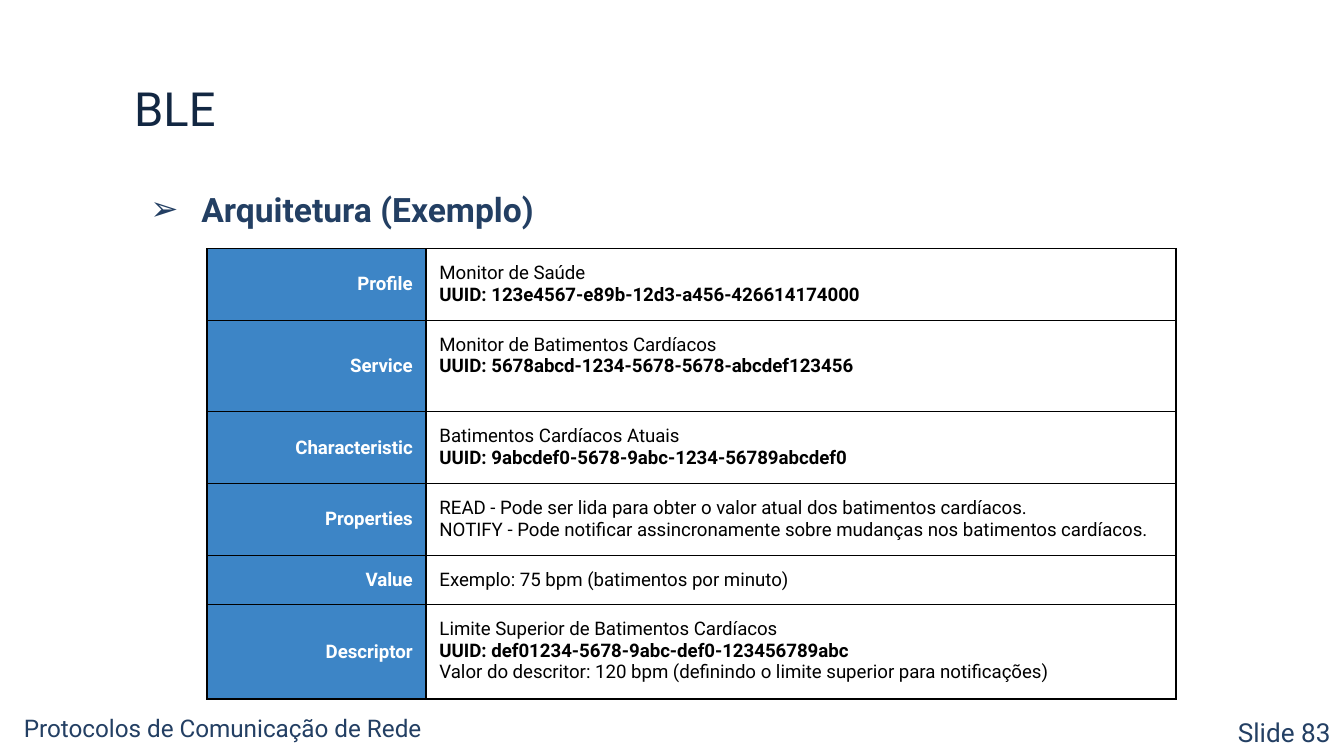
import pptx
import pptx.dml.color
import pptx.enum.text
import pptx.oxml
import pptx.oxml.ns
import pptx.util

Inches = pptx.util.Inches
Pt = pptx.util.Pt
RGBColor = pptx.dml.color.RGBColor
Align = pptx.enum.text.PP_ALIGN
Anchor = pptx.enum.text.MSO_ANCHOR

FONT = "Roboto"
DARK_NAVY = RGBColor(0x12, 0x27, 0x42)
NAVY = RGBColor(0x23, 0x3F, 0x63)
BLUE = RGBColor(0x3D, 0x85, 0xC6)
WHITE = RGBColor(0xFF, 0xFF, 0xFF)
BLACK = RGBColor(0x00, 0x00, 0x00)

TITLE = "BLE"
HEADING = "Arquitetura (Exemplo)"
COURSE = "Protocolos de Comunicação de Rede"
SLIDE_NUMBER = "Slide 83"

# label, description lines, row height counted in text lines
LEVELS = [
    ("Profile", ["Monitor de Saúde",
                 "UUID: 123e4567-e89b-12d3-a456-426614174000"], 2),
    ("Service", ["Monitor de Batimentos Cardíacos",
                 "UUID: 5678abcd-1234-5678-5678-abcdef123456"], 3),
    ("Characteristic", ["Batimentos Cardíacos Atuais",
                        "UUID: 9abcdef0-5678-9abc-1234-56789abcdef0"], 2),
    ("Properties", ["READ - Pode ser lida para obter o valor atual dos batimentos cardíacos.",
                    "NOTIFY - Pode notificar assincronamente sobre mudanças nos batimentos cardíacos."], 2),
    ("Value", ["Exemplo: 75 bpm (batimentos por minuto)"], 1),
    ("Descriptor", ["Limite Superior de Batimentos Cardíacos",
                    "UUID: def01234-5678-9abc-def0-123456789abc",
                    "Valor do descritor: 120 bpm (definindo o limite superior para notificações)"], 3),
]
SLIDE_WIDTH = 10
COLUMN_WIDTHS = (1.63, 5.58)
MARGIN = 0.1
LINE_HEIGHT = 0.16


def set_margins(holder):
    holder.margin_left = holder.margin_right = Inches(MARGIN)
    holder.margin_top = holder.margin_bottom = Inches(MARGIN)


def style(paragraph, size, color, bold=False):
    font = paragraph.font
    font.name, font.size, font.bold = FONT, Pt(size), bold
    font.color.rgb = color


def add_text(slide, text, left, top, width, height):
    """Add a one-paragraph text box and return its paragraph and frame."""
    frame = slide.shapes.add_textbox(
        Inches(left), Inches(top), Inches(width), Inches(height)).text_frame
    frame.word_wrap = True
    set_margins(frame)
    paragraph = frame.paragraphs[0]
    paragraph.text = text
    return paragraph, frame


def add_bullet(paragraph, char, color):
    properties = paragraph._p.get_or_add_pPr()
    properties.set("marL", str(Inches(0.5)))
    properties.set("indent", str(Inches(-0.38)))
    ns = pptx.oxml.ns.nsdecls("a")
    for xml in (f'<a:buClr {ns}><a:srgbClr val="{color}"/></a:buClr>',
                f'<a:buFont {ns} typeface="{FONT}"/>',
                f'<a:buChar {ns} char="{char}"/>'):
        properties.append(pptx.oxml.parse_xml(xml))


def add_borders(cell, color, width):
    properties = cell._tc.get_or_add_tcPr()
    ns = pptx.oxml.ns.nsdecls("a")
    for position, side in enumerate("LRTB"):
        properties.insert(position, pptx.oxml.parse_xml(
            f'<a:ln{side} {ns} w="{Pt(width)}"><a:solidFill>'
            f'<a:srgbClr val="{color}"/></a:solidFill></a:ln{side}>'))


def fill_cell(cell, lines, color, align):
    set_margins(cell)
    cell.text = "\n".join(lines)
    for paragraph in cell.text_frame.paragraphs:
        paragraph.alignment = align
        style(paragraph, 10, color,
              bold=color == WHITE or paragraph.text.startswith("UUID"))
    add_borders(cell, BLACK, 0.75)


def add_levels_table(slide, left, top):
    heights = [2 * MARGIN + LINE_HEIGHT * count for _, _, count in LEVELS]
    table = slide.shapes.add_table(
        len(LEVELS), len(COLUMN_WIDTHS), Inches(left), Inches(top),
        Inches(sum(COLUMN_WIDTHS)), Inches(sum(heights))).table
    table.first_row = table.horz_banding = False
    for column, width in zip(table.columns, COLUMN_WIDTHS):
        column.width = Inches(width)
    for row, height, (label, lines, _) in zip(table.rows, heights, LEVELS):
        row.height = Inches(height)
        label_cell, description_cell = row.cells
        label_cell.fill.solid()
        label_cell.fill.fore_color.rgb = BLUE
        label_cell.vertical_anchor = Anchor.MIDDLE
        fill_cell(label_cell, [label], WHITE, Align.RIGHT)
        description_cell.fill.background()
        fill_cell(description_cell, lines, BLACK, Align.LEFT)


def main():
    deck = pptx.Presentation()
    deck.slide_width = Inches(SLIDE_WIDTH)
    deck.slide_height = Inches(SLIDE_WIDTH * 9 / 16)
    slide = deck.slides.add_slide(deck.slide_layouts[6])

    title, _ = add_text(slide, TITLE, 0.9, 0.49, 8.02, 0.63)
    style(title, 25.2, DARK_NAVY)

    number, number_frame = add_text(slide, SLIDE_NUMBER, 8.52, 5.26, 1.48, 0.41)
    number_frame.vertical_anchor = Anchor.MIDDLE
    number.alignment = Align.RIGHT
    number.line_spacing = 0.8
    style(number, 14, NAVY)

    course, _ = add_text(slide, COURSE, 0.08, 5.22, 4.43, 0.41)
    course.line_spacing = 0.95
    style(course, 13, NAVY)

    heading, _ = add_text(slide, HEADING, 0.9, 1.26, 8.02, 3.74)
    heading.line_spacing = 1.15
    add_bullet(heading, "➢", NAVY)
    style(heading, 18, NAVY, bold=True)

    add_levels_table(slide, 1.54, 1.85)
    deck.save("out.pptx")


if __name__ == "__main__":
    main()
